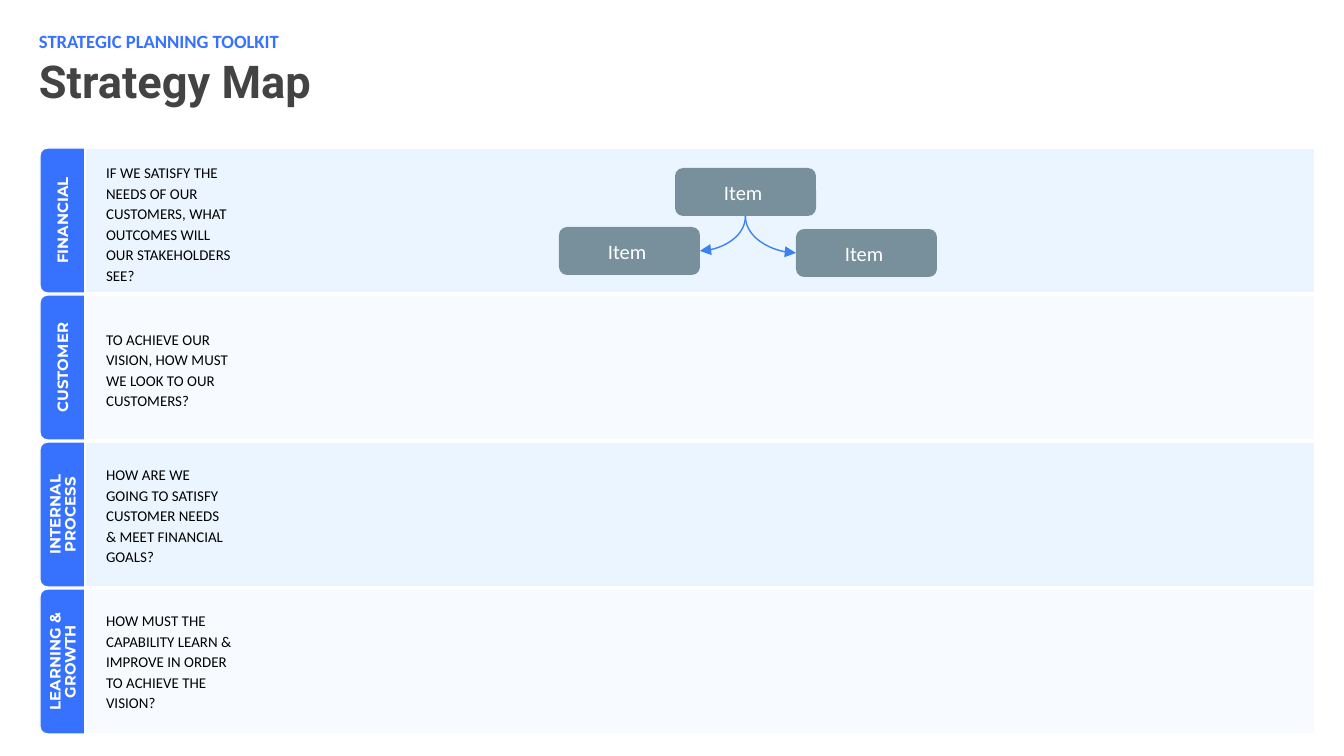
"""Build the strategy map slide."""
from lxml import etree
from pptx import Presentation
from pptx import util as u
from pptx.dml.color import RGBColor
from pptx.enum import shapes, text
from pptx.oxml.ns import qn

PX = 914400 / 134.4
COLORS = {
    "blue": "3772FF", "arrow": "3C81F3", "slate": "78909C", "title": "434343",
    "band": "EBF5FF", "pale": "F7FBFF", "white": "FFFFFF", "black": "000000",
}
ROWS = [
    ("FINANCIAL", "IF WE SATISFY THE NEEDS OF OUR CUSTOMERS, WHAT OUTCOMES WILL OUR STAKEHOLDERS SEE?"),
    ("CUSTOMER", "TO ACHIEVE OUR VISION, HOW MUST WE LOOK TO OUR CUSTOMERS?"),
    ("INTERNAL PROCESS", "HOW ARE WE GOING TO SATISFY CUSTOMER NEEDS & MEET FINANCIAL GOALS?"),
    ("LEARNING & GROWTH", "HOW MUST THE CAPABILITY LEARN & IMPROVE IN ORDER TO ACHIEVE THE VISION?"),
]
ROW_TOP, ROW_HEIGHT, ROW_PITCH = 148, 145, 147
TAB_LEFT, TAB_WIDTH = 40, 45
QUESTION_TOP, QUESTION_PITCH = 152, 146


def emu(px):
    return u.Emu(round(px * PX))


def color(name):
    return RGBColor.from_string(COLORS[name])


class SlideBuilder:
    def __init__(self, page):
        self.page = page

    def set_text(self, box, words, size, font, ink, bold=False, align=text.PP_ALIGN.LEFT,
                 anchor=text.MSO_ANCHOR.MIDDLE, insets=(13, 13, 13, 13), spacing=1.0, gap=0):
        frame = box.text_frame
        frame.word_wrap = True
        frame.auto_size = text.MSO_AUTO_SIZE.NONE
        frame.vertical_anchor = anchor
        (frame.margin_left, frame.margin_top,
         frame.margin_right, frame.margin_bottom) = map(emu, insets)
        para = frame.paragraphs[0]
        para.text = words
        para.alignment = align
        para.line_spacing = spacing
        para.space_before = para.space_after = u.Pt(gap)
        para.font.size = u.Pt(size)
        para.font.name = font
        para.font.bold = bold
        para.font.color.rgb = color(ink)

    def shape(self, kind, area, fill, outline=None):
        box = self.page.shapes.add_shape(kind, *map(emu, area))
        box.shadow.inherit = False
        box.fill.solid()
        box.fill.fore_color.rgb = color(fill)
        if outline:
            box.line.color.rgb = color(outline)
            box.line.width = u.Pt(0.75)
        else:
            box.line.fill.background()
        return box

    def label(self, area, words, **style):
        box = self.page.shapes.add_textbox(*map(emu, area))
        self.set_text(box, words, **style)

    def title(self, area, words, **style):
        box = self.page.shapes.title
        box.left, box.top, box.width, box.height = map(emu, area)
        self.set_text(box, words, **style)

    def band(self, top, fill):
        self.shape(shapes.MSO_SHAPE.RECTANGLE, (62, top, 1253, ROW_HEIGHT), fill, "white")

    def tab(self, top, words):
        left = TAB_LEFT + (TAB_WIDTH - ROW_HEIGHT) / 2
        turned_top = top + (ROW_HEIGHT - TAB_WIDTH) / 2
        box = self.shape(shapes.MSO_SHAPE.ROUND_2_SAME_RECTANGLE,
                         (left, turned_top, ROW_HEIGHT, TAB_WIDTH), "blue", "white")
        box.rotation = 270
        self.set_text(box, words, 8, "Montserrat", "white", bold=True,
                      align=text.PP_ALIGN.CENTER, spacing=0.85, gap=6)

    def item(self, left, top):
        box = self.shape(shapes.MSO_SHAPE.ROUNDED_RECTANGLE, (left, top, 141, 48), "slate")
        self.set_text(box, "Item ", 11, "Calibri", "white",
                      align=text.PP_ALIGN.CENTER, insets=(13, 7, 13, 7))
        return box

    def curve(self, child, side, parent):
        link = self.page.shapes.add_connector(shapes.MSO_CONNECTOR.CURVE, 0, 0, 0, 0)
        link.begin_connect(child, side)
        link.end_connect(parent, 2)
        link.line.color.rgb = color("arrow")
        link.line.width = u.Pt(0.75)
        properties = link._element.spPr
        properties.find(qn("a:prstGeom")).set("prst", "curvedConnector2")
        etree.SubElement(properties.find(qn("a:ln")), qn("a:headEnd"), type="triangle")
        etree.SubElement(properties, qn("a:effectLst"))


def main():
    deck = Presentation()
    deck.slide_width, deck.slide_height = emu(1344), emu(756)
    builder = SlideBuilder(deck.slides.add_slide(deck.slide_layouts[5]))

    for index, (name, question) in enumerate(ROWS):
        top = ROW_TOP + index * ROW_PITCH
        builder.band(top, "pale" if index % 2 else "band")
        builder.tab(top, name)
        builder.label((93, QUESTION_TOP + index * QUESTION_PITCH, 152, 141), question,
                      size=8, font="Calibri", ink="black", spacing=1.15)

    heading = dict(bold=True, anchor=text.MSO_ANCHOR.TOP, insets=(0, 13, 13, 13))
    builder.title((39, 40, 1271, 85), "Strategy Map",
                  size=24.2, font="Roboto", ink="title", **heading)
    builder.label((39, 17, 594, 66), "STRATEGIC PLANNING TOOLKIT",
                  size=10, font="Calibri", ink="blue", **heading)

    parent = builder.item(675, 168)
    left_child = builder.item(559, 227)
    right_child = builder.item(796, 229)
    builder.curve(right_child, 1, parent)
    builder.curve(left_child, 3, parent)
    deck.save("out.pptx")


if __name__ == "__main__":
    main()
